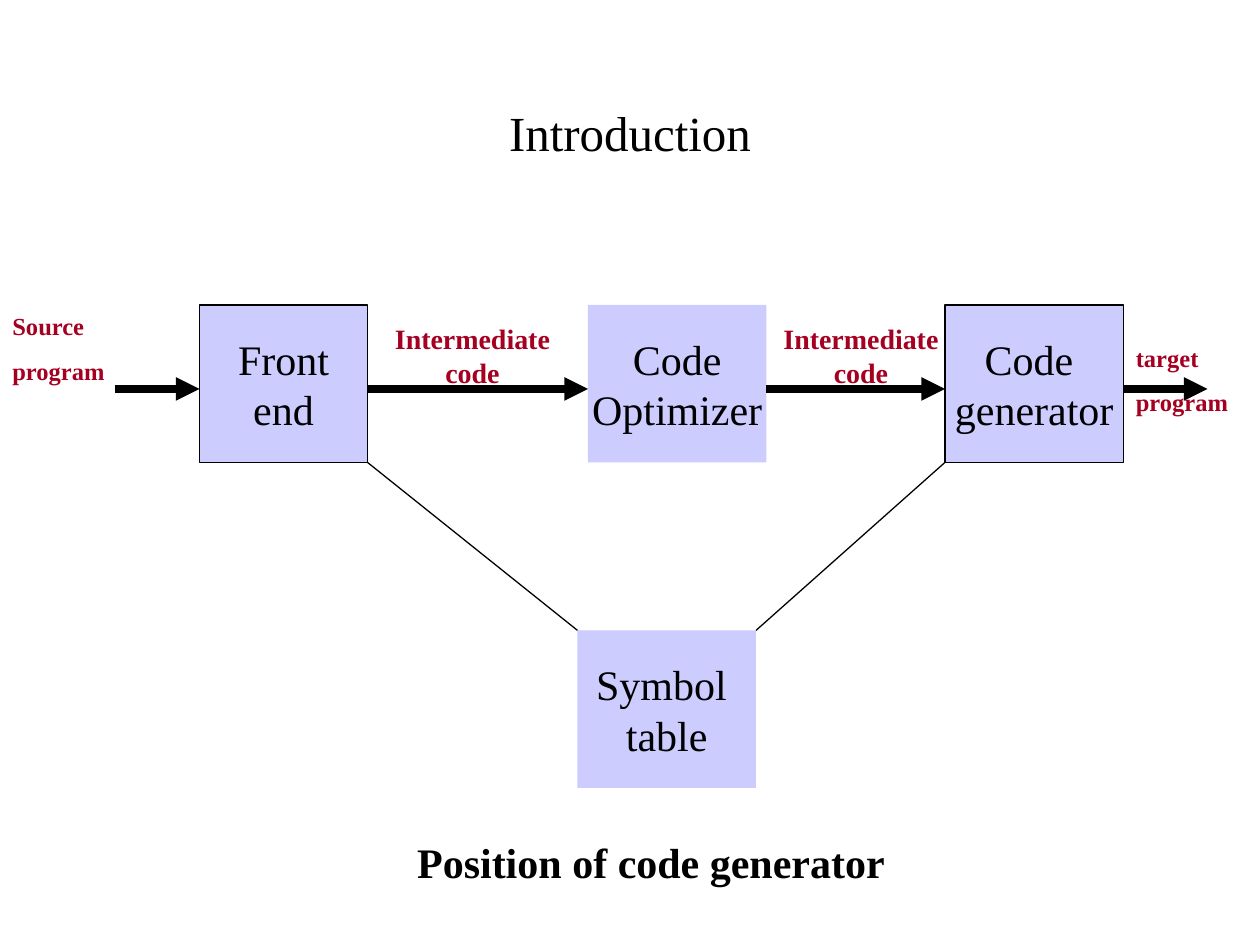
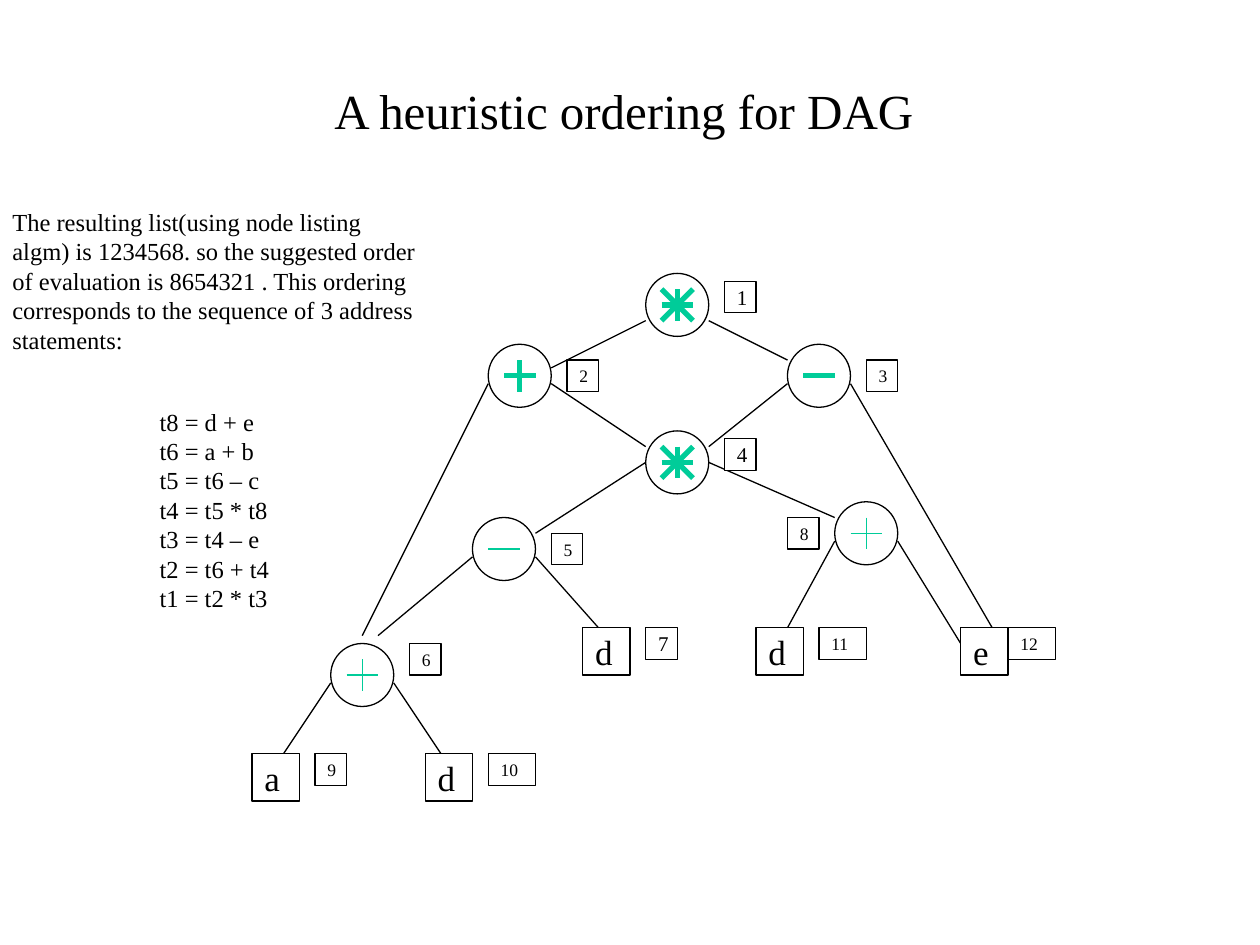
from dataclasses import dataclass

from pptx import Presentation, util as u
from pptx.dml.color import RGBColor
from pptx.enum import shapes, text
from pptx.oxml.ns import qn
from lxml import etree

BLACK = RGBColor(0x00, 0x00, 0x00)
WHITE = RGBColor(0xFF, 0xFF, 0xFF)
LAVENDER = RGBColor(0xCC, 0xCC, 0xFF)
CRIMSON = RGBColor(0xA5, 0x00, 0x21)
GREEN = RGBColor(0x00, 0xCC, 0x99)
FONT = "Times New Roman"
WIDTH, HEIGHT = 10, 7.5
THIN = 0.75

RECT, OVAL = shapes.MSO_SHAPE.RECTANGLE, shapes.MSO_SHAPE.OVAL
LEFT, CENTER = text.PP_ALIGN.LEFT, text.PP_ALIGN.CENTER
TOP, MIDDLE = text.MSO_ANCHOR.TOP, text.MSO_ANCHOR.MIDDLE


@dataclass
class Grid:
    """Square cells, counted from a region's top left corner in inches."""
    left: float
    top: float
    cell: float

    def point(self, column, row):
        return (u.Inches(self.left + column * self.cell),
                u.Inches(self.top + row * self.cell))

    def box(self, column, row, columns, rows):
        return (*self.point(column, row),
                u.Inches(columns * self.cell), u.Inches(rows * self.cell))


def write(frame, words, size, color=BLACK, bold=False, align=LEFT,
          anchor=MIDDLE, wrap=True, gap=0):
    """Fill a text frame; gap is the space between its paragraphs."""
    frame.text = words
    frame.word_wrap = wrap
    frame.vertical_anchor = anchor
    for index, paragraph in enumerate(frame.paragraphs):
        paragraph.alignment = align
        paragraph.space_before = u.Pt(gap if index else 0)
        for run in paragraph.runs:
            run.font.name, run.font.size = FONT, u.Pt(size)
            run.font.color.rgb, run.font.bold = color, bold


def add_titled_slide(deck, title, top):
    slide = deck.slides.add_slide(deck.slide_layouts[5])
    heading = slide.shapes.title
    heading.left, heading.top = u.Inches(WIDTH * 0.075), u.Inches(top)
    heading.width, heading.height = u.Inches(WIDTH * 0.85), u.Inches(HEIGHT / 6)
    write(heading.text_frame, title, 28, align=CENTER)
    return slide


def add_label(slide, box, words, size, **style):
    label = slide.shapes.add_textbox(*box)
    write(label.text_frame, words, size, **style)
    return label


def add_solid(slide, kind, box, fill, outlined=True):
    solid = slide.shapes.add_shape(kind, *box)
    solid.shadow.inherit = False
    solid.fill.solid()
    solid.fill.fore_color.rgb = fill
    if outlined:
        solid.line.color.rgb, solid.line.width = BLACK, u.Pt(THIN)
    else:
        solid.line.fill.background()
    return solid


def add_line(parent, start, end, color=BLACK, width=THIN, arrow=False):
    line = parent.shapes.add_connector(
        shapes.MSO_CONNECTOR.STRAIGHT, *start, *end)
    line.line.color.rgb, line.line.width = color, u.Pt(width)
    properties = line._element.spPr
    if arrow:
        etree.SubElement(properties.find(qn("a:ln")), qn("a:tailEnd"),
                         type="triangle")
    etree.SubElement(properties, qn("a:effectLst"))


def draw_pipeline(slide, grid):
    stages = [  # column, row, columns, outlined, words
        (19, 0, 16, True, "Front\nend"),
        (90, 0, 17, True, "Code \ngenerator"),
        (56, 0, 17, False, "Code\nOptimizer"),
        (55, 31, 17, False, "Symbol \ntable"),
    ]
    for column, row, columns, outlined, words in stages:
        stage = add_solid(slide, RECT, grid.box(column, row, columns, 15),
                          LAVENDER, outlined)
        write(stage.text_frame, words, 24, align=CENTER, wrap=False)

    for start, end in [((35, 15), (55, 31)), ((72, 31), (90, 15))]:
        add_line(slide, grid.point(*start), grid.point(*end))
    for start, end in [(35, 56), (73, 90), (11, 19), (107, 115)]:
        add_line(slide, grid.point(start, 8), grid.point(end, 8),
                 width=4.5, arrow=True)

    flows = [  # column, row, columns, words, size, alignment
        (0, 0, 18, "Source\nprogram", 14, LEFT),
        (36, 1, 18, "Intermediate code", 16, CENTER),
        (73, 1, 18, "Intermediate code", 16, CENTER),
        (107, 3, 13, "target\nprogram", 14, LEFT),
    ]
    for column, row, columns, words, size, align in flows:
        add_label(slide, grid.box(column, row, columns, 8), words, size,
                  color=CRIMSON, bold=True, align=align, anchor=TOP, gap=8.8)
    add_label(slide, grid.box(22, 50, 80, 6), "Position of code generator", 24,
              bold=True, align=CENTER, anchor=TOP)


OPERATORS = [  # centre column, centre row, sign, stroke width
    (54, 4, "*", 3), (34, 13, "+", 3), (14, 51, "+", THIN), (54, 24, "*", 3),
    (32, 35, "-", THIN), (72, 13, "-", 3), (78, 33, "+", THIN),
]
EDGES = [
    ((76, 14), (94, 45)), ((58, 6), (68, 11)), ((50, 6), (38, 12)),
    ((38, 14), (50, 22)), ((68, 14), (58, 22)), ((30, 14), (14, 46)),
    ((10, 52), (4, 61)), ((18, 52), (24, 61)), ((28, 36), (16, 46)),
    ((50, 24), (36, 33)), ((58, 24), (74, 31)), ((36, 36), (44, 45)),
    ((74, 34), (68, 45)), ((82, 34), (90, 47)),
]
LEAVES = [(0, 61, "a"), (90, 45, "e"), (64, 45, "d"), (42, 45, "d"),
          (22, 61, "d")]
NUMBERS = {1: (60, 1), 2: (40, 11), 3: (78, 11), 4: (60, 21), 5: (38, 33),
           6: (20, 47), 7: (50, 45), 8: (68, 31), 9: (8, 61), 10: (30, 61),
           11: (72, 45), 12: (96, 45)}
LARGE_NUMBERS = {1, 4, 7}

# Each stroke runs through the sign's centre, from minus to plus its direction.
DASH, UPRIGHT, RISING, FALLING = (2, 0), (0, 2), (-2, 2), (2, 2)
SIGNS = {"-": [DASH], "+": [UPRIGHT, DASH],
         "*": [UPRIGHT, DASH, RISING, FALLING]}


def draw_sign(slide, grid, column, row, sign, width):
    strokes = SIGNS[sign]
    parent = slide.shapes.add_group_shape() if len(strokes) > 1 else slide
    for across, down in strokes:
        add_line(parent, grid.point(column - across, row - down),
                 grid.point(column + across, row + down), GREEN, width)


def draw_dag(slide, grid):
    for column, row, _, _ in OPERATORS:
        add_solid(slide, OVAL, grid.box(column - 4, row - 4, 8, 8), WHITE)
    for start, end in EDGES:
        add_line(slide, grid.point(*start), grid.point(*end))
    for operator in OPERATORS:
        draw_sign(slide, grid, *operator)
    for column, row, name in LEAVES:
        leaf = add_solid(slide, RECT, grid.box(column, row, 6, 6), WHITE)
        write(leaf.text_frame, name, 20)
    for number, (column, row) in NUMBERS.items():
        columns = 6 if number > 9 else 4
        tag = add_solid(slide, RECT, grid.box(column, row, columns, 4), WHITE)
        write(tag.text_frame, str(number), 12 if number in LARGE_NUMBERS else 10)


def draw_evaluation_order(slide, grid):
    add_label(
        slide, grid.box(0, 0, 41, 15.25),
        "The resulting list(using node listing algm) is 1234568. so the "
        "suggested order of evaluation is 8654321 . This ordering corresponds "
        "to the sequence of 3 address statements:", 14)
    statements = ["t8 = d + e", "t6 = a + b", "t5 = t6 – c", "t4 = t5 * t8",
                  "t3 = t4 – e", "t2 = t6 + t4", "t1 = t2 * t3"]
    listing = add_label(slide, grid.box(2, 19, 26, 20.9),
                        "\n".join(statements), 14)
    listing.text_frame.margin_left = u.Inches(1.1)


def main():
    deck = Presentation()
    deck.slide_width, deck.slide_height = u.Inches(WIDTH), u.Inches(HEIGHT)

    introduction = add_titled_slide(deck, "Introduction", 0.42)
    draw_pipeline(introduction, Grid(0, 2.42, 1 / 12))

    ordering = add_titled_slide(deck, "A heuristic ordering for DAG ", 0.25)
    draw_dag(ordering, Grid(2, 2.17, 1 / 16))
    draw_evaluation_order(ordering, Grid(0, 1.59, 1 / 12))

    deck.save("out.pptx")


if __name__ == "__main__":
    main()
